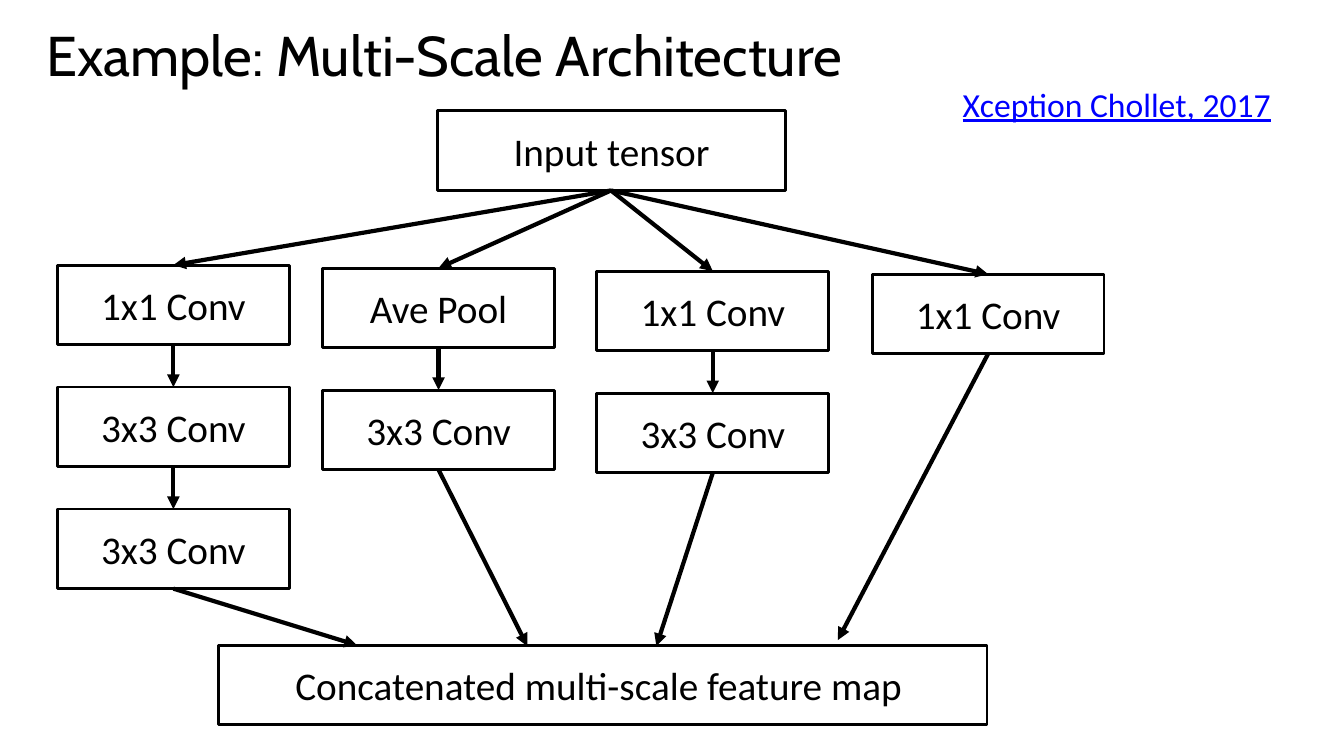
from dataclasses import dataclass

from lxml.etree import SubElement
from pptx import Presentation
from pptx.dml.color import RGBColor
from pptx.enum.shapes import MSO_CONNECTOR as Connector, MSO_SHAPE as Shape
from pptx.enum.text import MSO_ANCHOR as Anchor, PP_ALIGN as Align
from pptx.oxml.ns import qn
from pptx.util import Inches, Pt


@dataclass(frozen=True)
class Theme:
    ink: RGBColor = RGBColor(0, 0, 0)
    link: RGBColor = RGBColor(0, 0, 255)
    title_font: str = "Cabin"
    body_font: str = "Calibri"
    title_size: int = 40
    box_size: int = 28
    citation_size: int = 24
    box_line: int = 2
    arrow_line: int = 3


class DiagramSlide:
    """Draws styled boxes, arrows and text on one slide."""

    def __init__(self, slide, theme):
        self.shapes = slide.shapes
        self.theme = theme

    def label(self, shape, text, font, size, color, align, anchor):
        frame = shape.text_frame
        frame.word_wrap = True
        frame.vertical_anchor = anchor
        frame.text = text
        paragraph = frame.paragraphs[0]
        paragraph.alignment = align
        run = paragraph.runs[0]
        run.font.name = font
        run.font.size = Pt(size)
        run.font.color.rgb = color
        return paragraph

    def title(self, text, left, top, width, height):
        shape = self.shapes.add_textbox(*map(Inches, (left, top, width, height)))
        paragraph = self.label(shape, text, self.theme.title_font, self.theme.title_size,
                               self.theme.ink, Align.LEFT, Anchor.MIDDLE)
        paragraph.line_spacing = 0.8

    def citation(self, text, left, top, width, height):
        shape = self.shapes.add_textbox(*map(Inches, (left, top, width, height)))
        paragraph = self.label(shape, text, self.theme.body_font, self.theme.citation_size,
                               self.theme.link, Align.CENTER, Anchor.TOP)
        paragraph.runs[0].font.underline = True

    def box(self, text, left, top, width, height):
        shape = self.shapes.add_shape(
            Shape.RECTANGLE, *map(Inches, (left, top, width, height)))
        shape.shadow.inherit = False
        shape.fill.background()
        shape.line.color.rgb = self.theme.ink
        shape.line.width = Pt(self.theme.box_line)
        self.label(shape, text, self.theme.body_font, self.theme.box_size,
                   self.theme.ink, Align.CENTER, Anchor.MIDDLE)

    def arrow(self, start, end):
        connector = self.shapes.add_connector(
            Connector.STRAIGHT, *map(Inches, (*start, *end)))
        connector.line.color.rgb = self.theme.ink
        connector.line.width = Pt(self.theme.arrow_line)
        properties = connector._element.spPr
        SubElement(properties.get_or_add_ln(), qn("a:tailEnd"), type="triangle")
        SubElement(properties, qn("a:effectLst"))


BOX_HEIGHT = 0.79
BRANCH_WIDTH = 2.3
BRANCH_TOP = 2.63
BRANCH_DROP = 0.03
ROW_STEP = 1.21
INPUT_BOTTOM = (6.06, 1.89)
BRANCHES = [
    (0.57, ["1x1 Conv", "3x3 Conv", "3x3 Conv"], (3.54, 6.4)),
    (3.2, ["Ave Pool", "3x3 Conv"], (5.23, 6.41)),
    (5.92, ["1x1 Conv", "3x3 Conv"], (6.51, 6.41)),
    (8.65, ["1x1 Conv"], (8.31, 6.35)),
]


def main():
    presentation = Presentation()
    presentation.slide_width = Inches(13.33)
    presentation.slide_height = Inches(7.5)
    slide = presentation.slides.add_slide(presentation.slide_layouts[6])
    diagram = DiagramSlide(slide, Theme())

    diagram.title("Example: Multi-Scale Architecture", 0.36, 0.23, 12.74, 0.74)
    diagram.box("Input tensor", 4.34, 1.1, 3.45, BOX_HEIGHT)
    diagram.box("Concatenated multi-scale feature map ", 2.17, 6.4, 7.62, BOX_HEIGHT)
    for index, (left, layers, merge_point) in enumerate(BRANCHES):
        center = left + BRANCH_WIDTH / 2
        source = INPUT_BOTTOM
        for row, layer in enumerate(layers):
            top = BRANCH_TOP + index * BRANCH_DROP + row * ROW_STEP
            diagram.box(layer, left, top, BRANCH_WIDTH, BOX_HEIGHT)
            diagram.arrow(source, (center, top))
            source = (center, top + BOX_HEIGHT)
        diagram.arrow(source, merge_point)
    diagram.citation("Xception Chollet, 2017", 9.12, 0.78, 3.91, 0.63)

    presentation.save("out.pptx")


if __name__ == "__main__":
    main()
